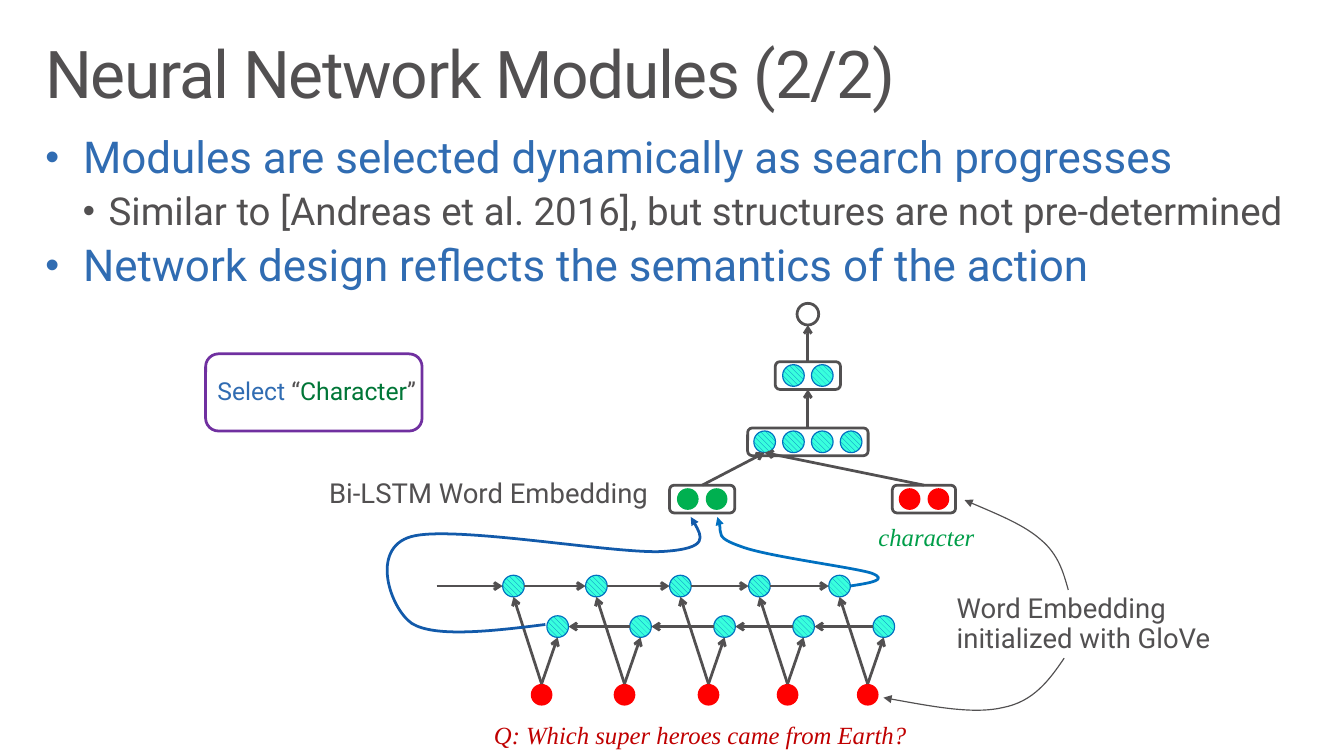
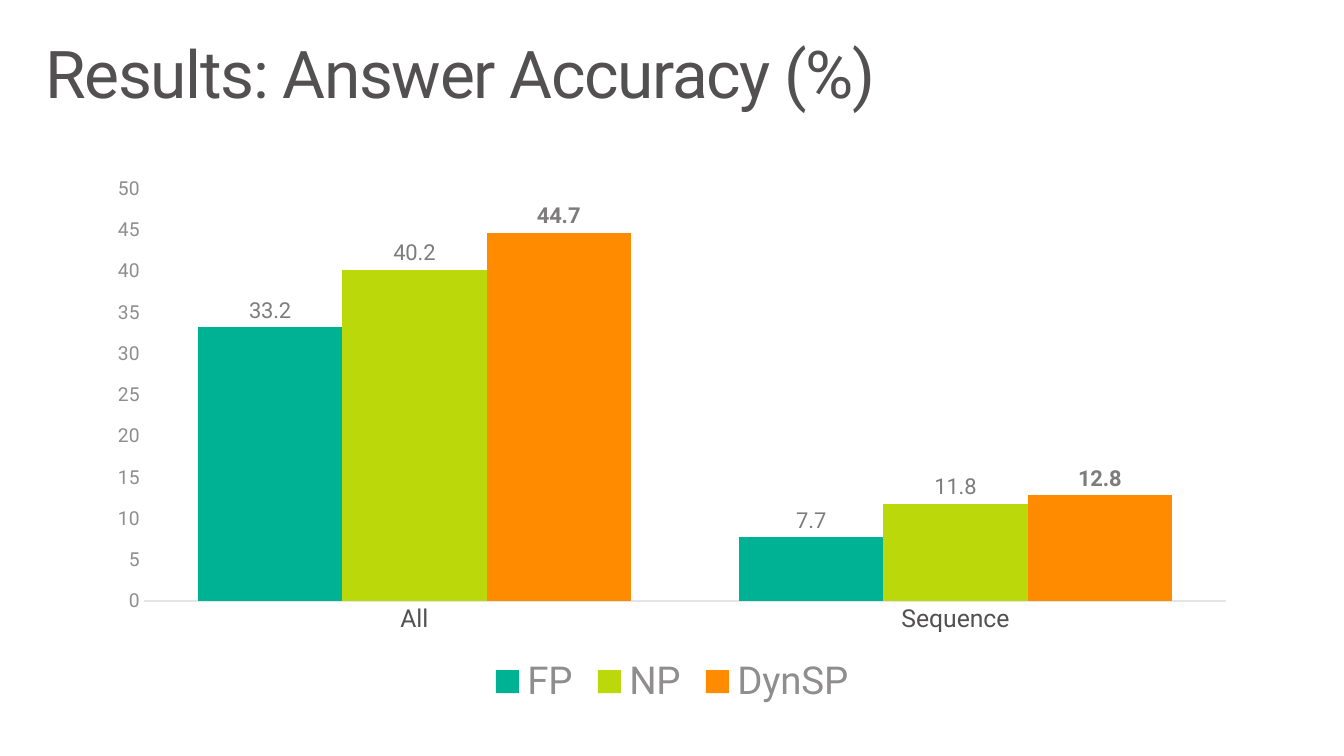
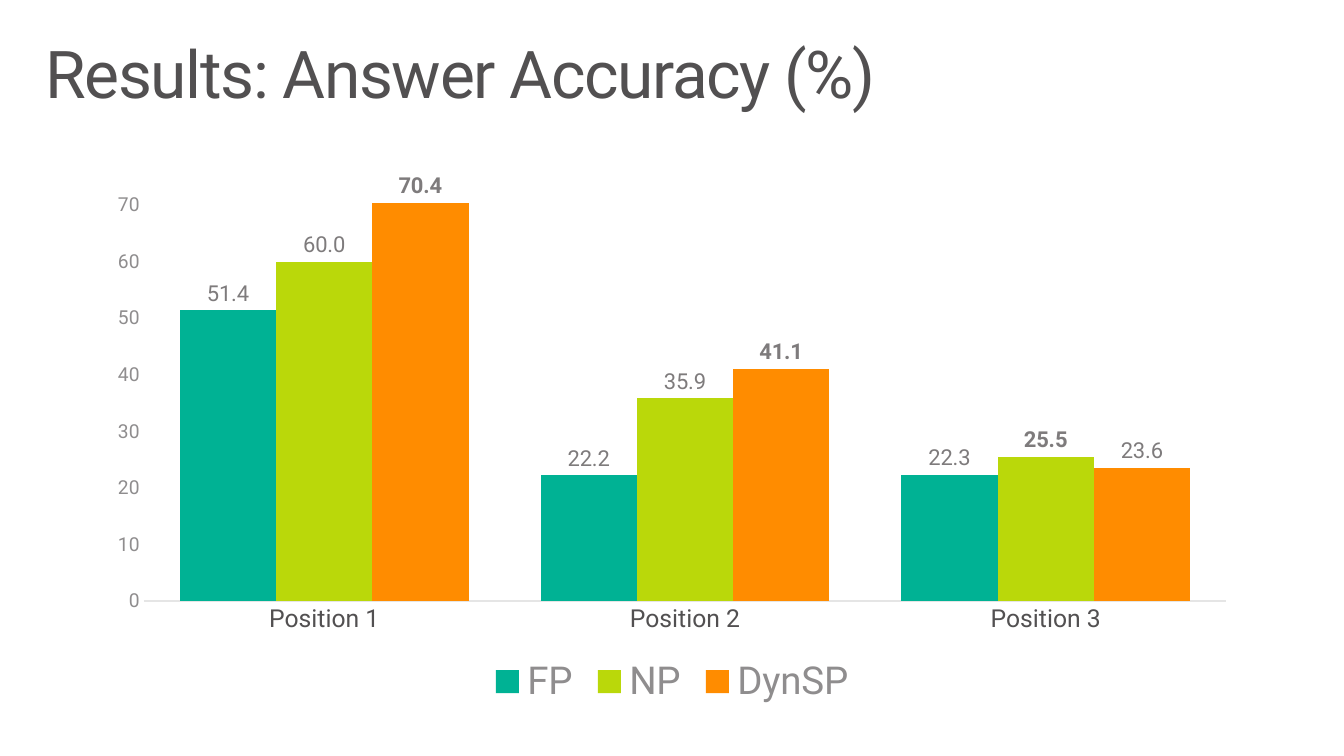
import itertools

import pptx
import pptx.chart.data
import pptx.dml.color
import pptx.enum.chart
import pptx.enum.dml
import pptx.enum.shapes
import pptx.oxml.ns
import pptx.util

Pt = pptx.util.Pt
qn = pptx.oxml.ns.qn
SHAPES = pptx.enum.shapes.MSO_SHAPE

COLORS = {
    "text": "525051", "blue": "306CB2", "character": "007637", "purple": "7030A0",
    "white": "FFFFFF", "red": "FF0000", "green": "00B050", "hatch": "0070C0",
    "cyan": "38FFDD", "dark_blue": "125AAA", "question": "C00000", "caption": "009E49",
    "axis_line": "E5E5E5", "axis_text": "8F8D8E", "label": "7E7B7C",
    "FP": "00B294", "NP": "BAD80A", "DynSP": "FF8C00",
}
SANS, SERIF = "Roboto", "Times New Roman"
TITLE_INSETS, NOTE_INSETS, CAPTION_INSETS = (11.5, 7.2), (14.4, 11.5), (7.2, 3.6)

BULLETS = [
    (0, "Modules are selected dynamically as search progresses"),
    (1, "Similar to [Andreas et al. 2016], but structures are not pre-determined"),
    (0, "Network design reflects the semantics of the action"),
]
BULLET_LEVELS = [
    {"size": 32, "color": "blue", "margin": 27.4, "indent": -27.4, "before": 7.5},
    {"size": 28, "color": "text", "margin": 46.1, "indent": -18.7, "before": 6.6},
]
ACTION = [("Select", "blue"), (" “", "text"), ("Character", "character"), ("”", "text")]
NOTES = [
    ("Bi-LSTM Word Embedding", (225.4, 339.1, 272, 45.4)),
    ("Word Embedding initialized with GloVe", (682.6, 421.9, 215.3, 67)),
]
CAPTIONS = [
    ("Q: Which super heroes came from Earth?", "question", (352.8, 520.6, 318.2, 28.8)),
    ("character", "caption", (632.9, 376.6, 85, 28.8)),
]

CIRCLE, PITCH, BOX_HEIGHT = 15.8, 21, 20.2
OUTPUT_X = 588.6
LAYERS = {
    "hidden": (OUTPUT_X, 311.8, 87.8, 4, "cyan"),
    "output": (OUTPUT_X, 263.5, 47.5, 2, "cyan"),
    "question": (511.6, 353.5, 47.5, 2, "green"),
    "column": (673.2, 353.5, 46.1, 2, "red"),
}
WORD_CENTERS = [394.6, 455, 516.2, 573.8, 632.2]
WORD_Y, BACKWARD_Y, FORWARD_Y = 506.2, 456.5, 427
FORWARD_SHIFT, BACKWARD_SHIFT = -20.5, 11.7
CURVES = [
    ("hatch", 2, [(619.2, 427), (633.6, 424.8), (648, 422.6), (635, 417.6), (621.4, 413.3),
                  (558.7, 405.4), (540, 398.2), (521.3, 391.7), (527, 387.4), (522.7, 376.6)]),
    ("dark_blue", 2, [(397.4, 455), (357.1, 460.1), (316.8, 464.4), (300.2, 454.3),
                      (284.4, 443.5), (269.3, 399.6), (299.5, 391), (329.8, 382.3),
                      (448.6, 403.9), (483.1, 401.8), (517, 399.6), (510.5, 388.1),
                      (503.3, 376.6)]),
    ("text", 0.85, [(778.3, 429.8), (774.7, 416.9), (771.1, 403.9), (758.2, 393.1),
                    (745.9, 382.3), (724.3, 373.7), (702.7, 364.3)]),
    ("text", 0.85, [(775.4, 479.5), (764.6, 495.4), (753.1, 511.2), (730.8, 515.5),
                    (709.2, 520.6), (676.1, 514.1), (643.7, 508.3)]),
]

RESULTS_TITLE = "Results: Answer Accuracy (%)"
RESULTS = [
    {"categories": ["All", "Sequence"], "maximum": 50, "unit": 5,
     "series": {"FP": [33.2, 7.7], "NP": [40.2, 11.8], "DynSP": [44.7, 12.8]}},
    {"categories": ["Position 1", "Position 2", "Position 3"], "maximum": 75, "unit": 10,
     "series": {"FP": [51.4, 22.2, 22.3], "NP": [60, 35.9, 25.5],
                "DynSP": [70.4, 41.1, 23.6]}},
]


def rgb(name):
    return pptx.dml.color.RGBColor.from_string(COLORS[name])


def style_font(font, size, color, name=SANS):
    font.size = Pt(size)
    font.name = name
    font.color.rgb = rgb(color)


def style_line(line, color, width):
    line.color.rgb = rgb(color)
    line.width = Pt(width)


def add_child(parent, tag, **attributes):
    child = parent.makeelement(qn(tag), attributes)
    parent.append(child)
    return child


def add_text(slide, place, insets, wrap=True):
    box = slide.shapes.add_textbox(*map(Pt, place))
    frame = box.text_frame
    frame.word_wrap = wrap
    frame.margin_left = frame.margin_right = Pt(insets[0])
    frame.margin_top = frame.margin_bottom = Pt(insets[1])
    return frame


def add_title_slide(presentation, title):
    slide = presentation.slides.add_slide(presentation.slide_layouts[6])
    frame = add_text(slide, (21.6, 23, 936, 72), TITLE_INSETS)
    frame.text = title
    paragraph = frame.paragraphs[0]
    paragraph.line_spacing = 0.9
    run = paragraph.runs[0]
    style_font(run.font, 48, "text")
    run._r.get_or_add_rPr().set("spc", "-100")
    return slide


def add_bullets(slide):
    frame = add_text(slide, (21.6, 91.4, 936, 129.6), TITLE_INSETS)
    for index, (level, text) in enumerate(BULLETS):
        style = BULLET_LEVELS[level]
        paragraph = frame.add_paragraph() if index else frame.paragraphs[0]
        paragraph.text = text
        paragraph.level = level
        paragraph.line_spacing = 0.9
        paragraph.space_before = Pt(style["before"])
        style_font(paragraph.runs[0].font, style["size"], style["color"])
        properties = paragraph._p.get_or_add_pPr()
        properties.set("marL", str(Pt(style["margin"])))
        properties.set("indent", str(Pt(style["indent"])))
        add_child(properties, "a:buSzPct", val="90000")
        add_child(properties, "a:buFont", typeface="Arial")
        add_child(properties, "a:buChar", char="•")


def add_note(slide, runs, place, size):
    paragraph = add_text(slide, place, NOTE_INSETS).paragraphs[0]
    paragraph.line_spacing = 0.9
    paragraph.space_after = Pt(6)
    for text, color in runs:
        run = paragraph.add_run()
        run.text = text
        style_font(run.font, size, color)


def add_caption(slide, text, color, place):
    frame = add_text(slide, place, CAPTION_INSETS, wrap=False)
    frame.text = text
    font = frame.paragraphs[0].runs[0].font
    style_font(font, 18, color, SERIF)
    font.italic = True


def add_outline(slide, kind, place, color="text"):
    shape = slide.shapes.add_shape(kind, *map(Pt, place))
    shape.shadow.inherit = False
    shape.fill.background()
    style_line(shape.line, color, 2)
    return shape


def add_circle(slide, x, y, color):
    place = (x - CIRCLE / 2, y - CIRCLE / 2, CIRCLE, CIRCLE)
    circle = slide.shapes.add_shape(SHAPES.OVAL, *map(Pt, place))
    circle.shadow.inherit = False
    if color == "cyan":
        circle.fill.patterned()
        circle.fill.pattern = pptx.enum.dml.MSO_PATTERN_TYPE.WIDE_DOWNWARD_DIAGONAL
        circle.fill.fore_color.rgb = rgb("hatch")
        circle.fill.back_color.rgb = rgb("cyan")
        style_line(circle.line, "hatch", 0.85)
    else:
        circle.fill.solid()
        circle.fill.fore_color.rgb = rgb(color)
        circle.line.fill.background()


def add_arrowhead(shape, kind):
    add_child(shape.element.spPr.find(qn("a:ln")), "a:tailEnd", type=kind)


def add_arrow(slide, start, end, source=None, target=None):
    connector = slide.shapes.add_connector(
        pptx.enum.shapes.MSO_CONNECTOR.STRAIGHT, *map(Pt, (*start, *end)))
    if source is not None:
        connector.begin_connect(source, 0)
    if target is not None:
        connector.end_connect(target, 2)
    style_line(connector.line, "text", 2)
    add_arrowhead(connector, "arrow")
    add_child(connector.element.spPr, "a:effectLst")


def add_curve(slide, color, width, points):
    start, *controls = [(Pt(x), Pt(y)) for x, y in points]
    builder = slide.shapes.build_freeform(*start, scale=1.0)
    builder.add_line_segments(controls, close=False)
    curve = builder.convert_to_shape()
    segments = list(curve.element.iter(qn("a:lnTo")))
    for first in range(0, len(segments), 3):
        outline = segments[first].getparent()
        bezier = add_child(outline, "a:cubicBezTo")
        for segment in segments[first:first + 3]:
            bezier.append(segment[0])
            outline.remove(segment)
    curve.shadow.inherit = False
    curve.fill.background()
    style_line(curve.line, color, width)
    add_arrowhead(curve, "triangle")


def add_layer(slide, center, top, width, count, color):
    for index in range(count):
        x = center + (index - (count - 1) / 2) * PITCH
        add_circle(slide, x, top + BOX_HEIGHT / 2, color)
    place = (center - width / 2, top, width, BOX_HEIGHT)
    return add_outline(slide, SHAPES.ROUNDED_RECTANGLE, place)


def add_scoring_network(slide):
    boxes = {name: add_layer(slide, *layer) for name, layer in LAYERS.items()}
    tops = {name: layer[:2] for name, layer in LAYERS.items()}
    ring_top = 221
    add_outline(slide, SHAPES.OVAL, (OUTPUT_X - CIRCLE / 2, ring_top, CIRCLE, CIRCLE))
    add_arrow(slide, tops["output"], (OUTPUT_X, ring_top + CIRCLE), boxes["output"])
    add_arrow(slide, tops["hidden"], (OUTPUT_X, tops["output"][1] + BOX_HEIGHT),
              boxes["hidden"], boxes["output"])
    first_hidden = (OUTPUT_X - 1.5 * PITCH, tops["hidden"][1] + (BOX_HEIGHT + CIRCLE) / 2)
    for name in ("question", "column"):
        add_arrow(slide, tops[name], first_hidden, boxes[name])


def add_word_network(slide):
    radius = CIRCLE / 2
    forward = [x + FORWARD_SHIFT for x in WORD_CENTERS]
    backward = [x + BACKWARD_SHIFT for x in WORD_CENTERS]
    for word, ahead, back in zip(WORD_CENTERS, forward, backward):
        add_circle(slide, word, WORD_Y, "red")
        add_circle(slide, back, BACKWARD_Y, "cyan")
        add_circle(slide, ahead, FORWARD_Y, "cyan")
        for x, y in ((ahead, FORWARD_Y), (back, BACKWARD_Y)):
            add_arrow(slide, (word, WORD_Y - radius), (x, y + radius))
    for left, right in itertools.pairwise([318.2 - radius, *forward]):
        add_arrow(slide, (left + radius, FORWARD_Y), (right - radius, FORWARD_Y))
    for left, right in itertools.pairwise(backward):
        add_arrow(slide, (right - radius, BACKWARD_Y), (left + radius, BACKWARD_Y))


def add_modules_slide(presentation):
    slide = add_title_slide(presentation, "Neural Network Modules (2/2)")
    add_bullets(slide)
    action_box = add_outline(slide, SHAPES.ROUNDED_RECTANGLE,
                             (149.8, 257.8, 157.7, 56.2), "purple")
    action_box.fill.solid()
    action_box.fill.fore_color.rgb = rgb("white")
    add_note(slide, ACTION, (144, 266.4, 190, 43.2), 18)
    add_scoring_network(slide)
    add_word_network(slide)
    for curve in CURVES:
        add_curve(slide, *curve)
    for caption in CAPTIONS:
        add_caption(slide, *caption)
    for text, place in NOTES:
        add_note(slide, [(text, "text")], place, 20)


def style_axes(chart, result):
    no_tick = pptx.enum.chart.XL_TICK_MARK.NONE
    for axis, size, color in ((chart.category_axis, 18, "text"),
                              (chart.value_axis, 14, "axis_text")):
        axis.major_tick_mark = axis.minor_tick_mark = no_tick
        axis.has_major_gridlines = False
        style_font(axis.tick_labels.font, size, color)
    style_line(chart.category_axis.format.line, "axis_line", 0.75)
    values = chart.value_axis
    values.format.line.fill.background()
    values.minimum_scale = 0
    values.maximum_scale = result["maximum"]
    values.major_unit = result["unit"]


def style_series(plot, result):
    best = [max(column) for column in zip(*result["series"].values())]
    outside = pptx.enum.chart.XL_LABEL_POSITION.OUTSIDE_END
    for series in plot.series:
        series.format.fill.solid()
        series.format.fill.fore_color.rgb = rgb(series.name)
        labels = series.data_labels
        labels.show_value = True
        labels.number_format = "#,##0.0"
        labels.number_format_is_linked = False
        labels.position = outside
        style_font(labels.font, 16, "label")
        for index, value in enumerate(series.values):
            if value == best[index]:
                label = series.points[index].data_label
                style_font(label.font, 16, "label")
                label.font.bold = True
                label.position = outside


def add_results_slide(presentation, result):
    slide = add_title_slide(presentation, RESULTS_TITLE)
    data = pptx.chart.data.CategoryChartData(number_format="0.0")
    data.categories = result["categories"]
    for name, values in result["series"].items():
        data.add_series(name, values)
    chart = slide.shapes.add_chart(
        pptx.enum.chart.XL_CHART_TYPE.COLUMN_CLUSTERED,
        *map(Pt, (69.1, 121, 841, 397.4)), data).chart
    style_font(chart.font, 10, "text")
    chart.has_title = False
    chart.has_legend = True
    chart.legend.position = pptx.enum.chart.XL_LEGEND_POSITION.BOTTOM
    chart.legend.include_in_layout = False
    style_font(chart.legend.font, 28, "axis_text")
    plot = chart.plots[0]
    plot.gap_width = 75
    plot.overlap = 0
    plot.vary_by_categories = False
    style_axes(chart, result)
    chart.value_axis.tick_labels.number_format = "0"
    chart.value_axis.tick_labels.number_format_is_linked = False
    style_series(plot, result)


def main():
    presentation = pptx.Presentation()
    presentation.slide_width = Pt(979.2)
    presentation.slide_height = Pt(550.8)
    add_modules_slide(presentation)
    for result in RESULTS:
        add_results_slide(presentation, result)
    presentation.save("out.pptx")


if __name__ == "__main__":
    main()
